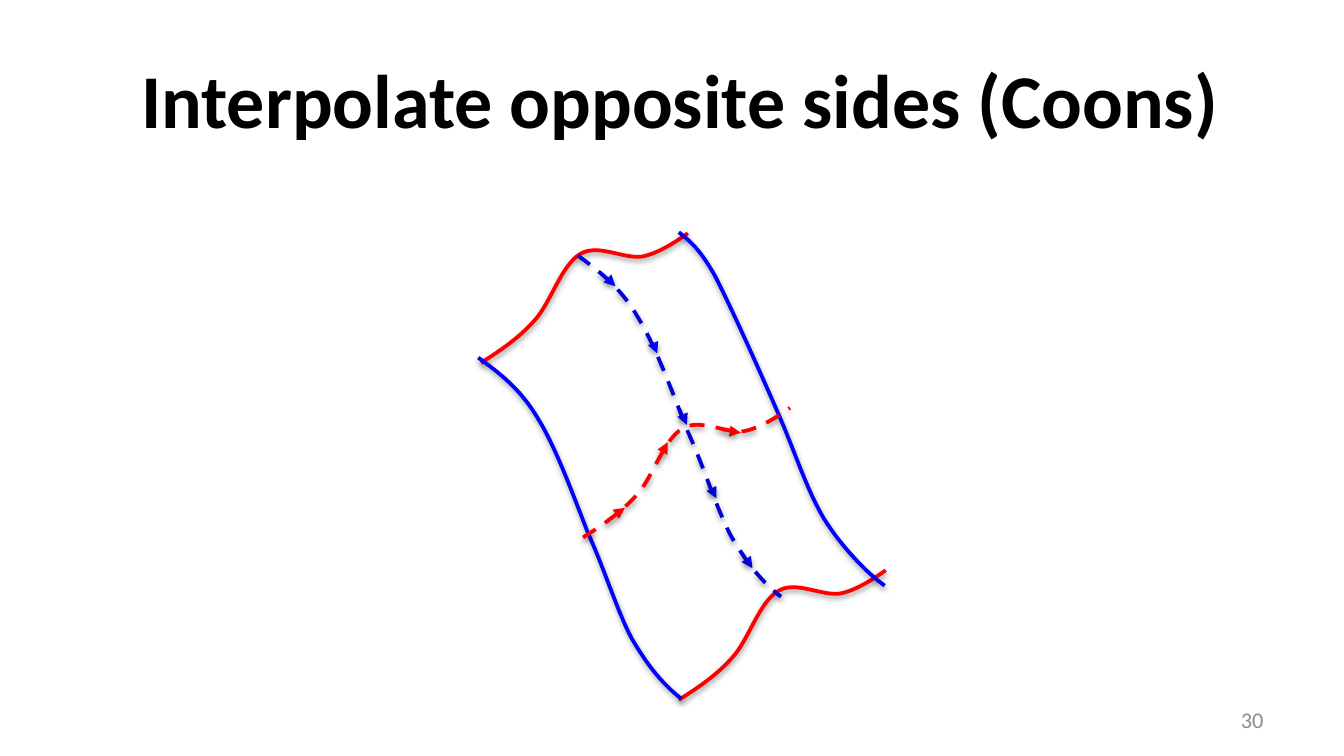
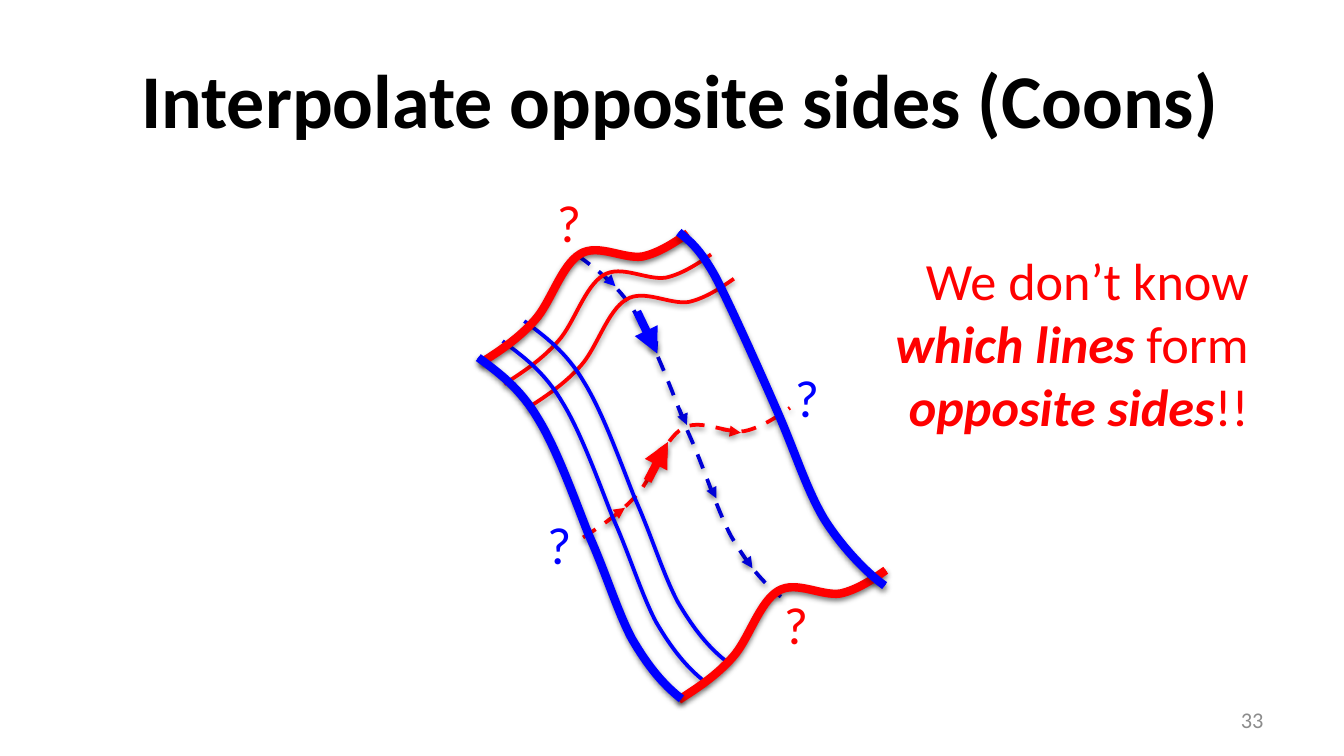
"""Build two slides on interpolating the opposite sides of a Coons patch."""
import dataclasses
from typing import Any, NamedTuple

import lxml.etree
import pptx
import pptx.dml.color
import pptx.enum.dml
import pptx.enum.shapes
import pptx.enum.text
import pptx.oxml.ns
import pptx.shapes.base
import pptx.slide
import pptx.util

Point = tuple[float, float]

RED, BLUE, DARK_BLUE, ARROW_BLUE = "FF0000", "0000FF", "0000D7", "0002D7"
BLACK, GREY = "000000", "8C8C8C"
FONT = "Calibri"
THIN, NORMAL, BOLD = 1, 2, 4.5

RED_PROFILE: list[Point] = [
    (0, 0), (0.36, -0.23), (0.71, -0.46), (1.02, -0.81), (1.32, -1.14), (1.52, -1.85), (1.88, -2.06),
    (2.21, -2.26), (2.69, -1.96), (3.05, -2.01), (3.38, -2.08), (3.71, -2.31), (3.91, -2.45),
]
LEFT_PROFILE: list[Point] = [
    (0, 0), (0.38, 0.28), (0.79, 0.58), (1.12, 1.14), (1.47, 1.7), (1.8, 2.62), (2.08, 3.33),
    (2.39, 4.01), (2.62, 4.78), (2.9, 5.31), (3.2, 5.82), (3.48, 6.17), (3.84, 6.45),
]
RIGHT_PROFILE: list[Point] = [
    (0, 0), (0.18, 0.15), (0.38, 0.28), (0.69, 0.84), (0.99, 1.42), (1.55, 2.67), (1.88, 3.43),
    (2.21, 4.19), (2.41, 4.85), (2.74, 5.41), (3.07, 5.94), (3.56, 6.45), (3.89, 6.68),
]


@dataclasses.dataclass(frozen=True)
class Curve:
    """A chain of Bezier arcs placed at a starting point in centimetres."""

    profile: list[Point]
    start: Point
    color: str
    width: float = NORMAL
    dashed: bool = False


class Arrow(NamedTuple):
    """A straight arrow between two points in centimetres."""

    start: Point
    end: Point
    color: str
    width: float = THIN
    dashed: bool = True


class Run(NamedTuple):
    """A piece of text, emphasised in bold italics or plain."""

    text: str
    emphasis: bool = False


@dataclasses.dataclass(frozen=True)
class Label:
    """A text box in centimetres with one list of runs per paragraph."""

    box: tuple[float, float, float, float]
    lines: list[list[Run]]
    color: str
    font: dict[str, Any]
    paragraph: dict[str, Any]
    frame: dict[str, Any]


RIGHT_ALIGNED = {"alignment": pptx.enum.text.PP_ALIGN.RIGHT}
NOTE_FONT = {"name": FONT, "size": pptx.util.Pt(28)}
NOTE_FRAME = {"word_wrap": False, "auto_size": pptx.enum.text.MSO_AUTO_SIZE.SHAPE_TO_FIT_TEXT}

TITLE = Label(
    (1.42, 1.09, 22.86, 3.18), [[Run("Interpolate opposite sides (Coons)")]], BLACK,
    {"name": FONT, "size": pptx.util.Pt(40.7), "bold": True},
    {"alignment": pptx.enum.text.PP_ALIGN.CENTER, "line_spacing": 0.9},
    {"word_wrap": True, "margin_top": pptx.util.Cm(0.1),
     "vertical_anchor": pptx.enum.text.MSO_ANCHOR.TOP},
)
WARNING = Label(
    (14.63, 4.57, 9.22, 3.84),
    [[Run("We don’t know")],
     [Run("which lines ", True), Run("form")],
     [Run("opposite sides", True), Run("!!")]],
    RED, NOTE_FONT, RIGHT_ALIGNED, NOTE_FRAME,
)

BORDERS = [
    Curve(RED_PROFILE, (9.09, 6.86), RED),
    Curve(RED_PROFILE, (12.83, 13.23), RED),
    Curve(LEFT_PROFILE, (9.04, 6.76), BLUE),
    Curve(RIGHT_PROFILE, (12.83, 4.39), BLUE),
]
MIDDLES = [
    Curve(LEFT_PROFILE, (10.92, 4.83), DARK_BLUE, dashed=True),
    Curve(RED_PROFILE, (11.02, 10.16), RED, dashed=True),
]
SHIFTED_SIDES = [
    Curve(RED_PROFILE, (9.53, 7.26), RED),
    Curve(RED_PROFILE, (9.96, 7.72), RED),
    Curve(LEFT_PROFILE, (9.5, 6.45), BLUE),
    Curve(LEFT_PROFILE, (9.91, 6.07), BLUE),
]
RED_ARROWS = [
    Arrow((13.64, 8.13), (14, 8.18), RED),
    Arrow((12.47, 8.64), (12.62, 8.36), RED),
    Arrow((11.48, 9.83), (11.81, 9.6), RED),
]
BLUE_ARROWS = [
    Arrow((11.4, 5.18), (11.63, 5.41), BLUE),
    Arrow((12.34, 6.48), (12.42, 6.68), BLUE),
    Arrow((12.85, 7.72), (12.98, 8.03), ARROW_BLUE),
    Arrow((13.39, 9.12), (13.54, 9.42), ARROW_BLUE),
    Arrow((14, 10.41), (14.22, 10.74), ARROW_BLUE),
]
BOLD_ARROWS = [
    Arrow((12.04, 5.89), (12.42, 6.68), BLUE, BOLD, False),
    Arrow((12.24, 9.09), (12.62, 8.36), RED, BOLD, False),
]
QUESTION_MARKS = [
    ((10.26, 3.48), RED), ((14.55, 11.07), RED), ((10.08, 9.55), BLUE), ((14.76, 6.78), BLUE),
]


def rgb(color: str) -> pptx.dml.color.RGBColor:
    """Turn a hex string into a colour."""
    return pptx.dml.color.RGBColor.from_string(color)


def apply_format(target: Any, values: dict[str, Any]) -> None:
    """Set every attribute named in the format values."""
    for name, value in values.items():
        setattr(target, name, value)


def add_element(parent: Any, tag: str, **attributes: str) -> Any:
    """Append a namespaced child element."""
    return lxml.etree.SubElement(parent, pptx.oxml.ns.qn(tag), attributes)


def style_stroke(shape: pptx.shapes.base.BaseShape, stroke: Curve | Arrow) -> None:
    """Give a curve or an arrow its line and its soft shadow."""
    shape.line.color.rgb = rgb(stroke.color)
    shape.line.width = pptx.util.Pt(stroke.width)
    if stroke.dashed:
        shape.line.dash_style = pptx.enum.dml.MSO_LINE.DASH
    if isinstance(stroke, Arrow):
        add_element(shape.element.spPr.find(pptx.oxml.ns.qn("a:ln")), "a:tailEnd", type="triangle")
    effects = add_element(shape.element.spPr, "a:effectLst")
    shadow = add_element(effects, "a:outerShdw", blurRad="40000", dist="20000",
                         dir="5400000", rotWithShape="0")
    add_element(add_element(shadow, "a:srgbClr", val=BLACK), "a:alpha", val="38000")


def add_curve(slide: pptx.slide.Slide, curve: Curve) -> None:
    """Draw a freeform and turn each three segments into one Bezier arc."""
    points = [
        (pptx.util.Cm(curve.start[0] + x), pptx.util.Cm(curve.start[1] + y)) for x, y in curve.profile
    ]
    builder = slide.shapes.build_freeform(*points[0])
    builder.add_line_segments(points[1:], close=False)
    shape = builder.convert_to_shape()
    shape.fill.background()
    segments = list(shape.element.iter(pptx.oxml.ns.qn("a:lnTo")))
    outline = segments[0].getparent()
    for first in range(0, len(segments), 3):
        arc = add_element(outline, "a:cubicBezTo")
        for segment in segments[first:first + 3]:
            arc.append(segment[0])
            outline.remove(segment)
    style_stroke(shape, curve)


def add_arrow(slide: pptx.slide.Slide, arrow: Arrow) -> None:
    """Draw a straight arrow."""
    ends = [pptx.util.Cm(value) for value in (*arrow.start, *arrow.end)]
    shape = slide.shapes.add_connector(pptx.enum.shapes.MSO_CONNECTOR.STRAIGHT, *ends)
    style_stroke(shape, arrow)


def add_label(slide: pptx.slide.Slide, label: Label) -> None:
    """Draw a text box."""
    shape = slide.shapes.add_textbox(*[pptx.util.Cm(value) for value in label.box])
    frame = shape.text_frame
    apply_format(frame, label.frame)
    for index, line in enumerate(label.lines):
        paragraph = frame.add_paragraph() if index else frame.paragraphs[0]
        apply_format(paragraph, label.paragraph)
        for part in line:
            run = paragraph.add_run()
            run.text = part.text
            apply_format(run.font, label.font)
            run.font.color.rgb = rgb(label.color)
            if part.emphasis:
                apply_format(run.font, {"bold": True, "italic": True})


def add_patch_slide(presentation: Any, number: str) -> pptx.slide.Slide:
    """Add a slide with the title, the page number and the patch."""
    slide = presentation.slides.add_slide(presentation.slide_layouts[6])
    for arrow in RED_ARROWS:
        add_arrow(slide, arrow)
    add_label(slide, Label(
        (18.21, 13.23, 5.92, 0.76), [[Run(number)]], GREY,
        {"name": FONT, "size": pptx.util.Pt(12)}, RIGHT_ALIGNED,
        {"word_wrap": True, "vertical_anchor": pptx.enum.text.MSO_ANCHOR.MIDDLE},
    ))
    for curve in BORDERS[:3] + MIDDLES[:1] + BORDERS[3:] + MIDDLES[1:]:
        add_curve(slide, curve)
    add_label(slide, TITLE)
    for arrow in BLUE_ARROWS:
        add_arrow(slide, arrow)
    return slide


def add_ambiguity(slide: pptx.slide.Slide) -> None:
    """Add the shifted sides, the bold borders and the questions."""
    for curve in SHIFTED_SIDES:
        add_curve(slide, curve)
    for arrow in BOLD_ARROWS:
        add_arrow(slide, arrow)
    add_label(slide, WARNING)
    for border in BORDERS:
        add_curve(slide, dataclasses.replace(border, width=BOLD))
    for corner, color in QUESTION_MARKS:
        add_label(slide, Label((*corner, 0.97, 1.45), [[Run("?")]], color,
                               NOTE_FONT, RIGHT_ALIGNED, NOTE_FRAME))


def main() -> None:
    """Build and save the presentation."""
    presentation = pptx.Presentation()
    presentation.slide_width = pptx.util.Cm(25.4)
    presentation.slide_height = pptx.util.Cm(14.29)
    add_patch_slide(presentation, "30")
    add_ambiguity(add_patch_slide(presentation, "33"))
    presentation.save("out.pptx")


if __name__ == "__main__":
    main()
